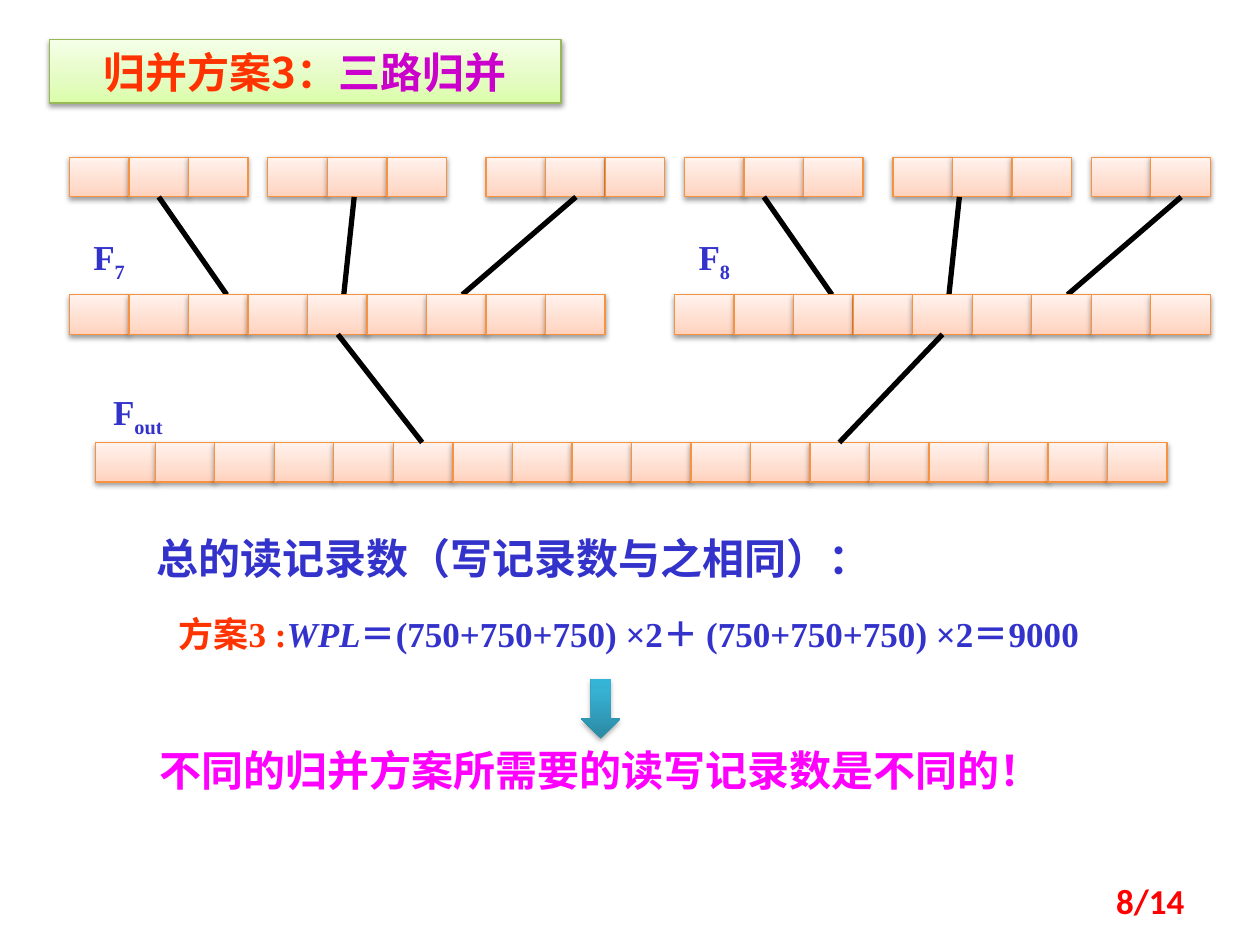
import pptx
import pptx.util
import pptx.dml.color
import pptx.enum.shapes
import pptx.enum.text
import pptx.oxml
import pptx.oxml.ns

Cm, Pt = pptx.util.Cm, pptx.util.Pt
RGB = pptx.dml.color.RGBColor
SHAPE = pptx.enum.shapes.MSO_SHAPE
ALIGN = pptx.enum.text.PP_ALIGN
ANCHOR = pptx.enum.text.MSO_ANCHOR

RED, PURPLE = RGB(0xFF, 0x33, 0x00), RGB(0xCC, 0x00, 0xCC)
BLUE, PINK = RGB(0x33, 0x33, 0xCC), RGB(0xFF, 0x00, 0xFF)
PAGE, BLACK = RGB(0xFF, 0x00, 0x00), RGB(0, 0, 0)
GREEN, ORANGE = RGB(0x98, 0xB9, 0x55), RGB(0xF6, 0x92, 0x40)
# Gradient stops run from the bottom edge to the top edge
LIME = ((0, "DAFDA7"), (35, "E4FCC2"), (100, "F5FFE7"))
PEACH = ((0, "FFD2BD"), (35, "FFDED0"), (100, "FFF2ED"))
TEAL = ((0, "2A88A2"), (80, "37B1D2"), (100, "34B4D6"))
SANS, SERIF = "Noto Sans CJK SC", "Times New Roman"

# Lengths are in centimetres
CELL, HIGH = 1.2, 0.8
TOP, MID, LOW = 3.17, 5.94, 8.92
FILES = [(1.4, 3), (5.4, 3), (9.8, 3), (13.8, 3), (18, 3), (22, 2)]
MERGES = [("7", 0), ("8", 12.2)]
LINKS = [(3.2, 4.57), (7.14, 6.93), (11.61, 9.32)]
JOINS = [(6.81, 8.51), (19, 16.92)]

TITLE = [("归并方案3：", {"color": RED}), ("三路归并", {"color": PURPLE})]
TOTAL = [("总的读记录数（写记录数与之相同）：", {})]
PLAN = [
    ("方案3 :", {"color": RED}),
    ("WPL", {"italic": True}),
    ("＝(750+750+750) ×2＋ (750+750+750) ×2＝9000", {}),
]
CLOSE = [("不同的归并方案所需要的读写记录数是不同的！", {})]


def write(shape, runs, size=24, font=SERIF, color=BLUE, align=ALIGN.LEFT,
          anchor=ANCHOR.TOP, inset=True):
    """Fill a shape with one paragraph of formatted runs."""
    frame = shape.text_frame
    frame.word_wrap = True
    frame.vertical_anchor = anchor
    if not inset:
        frame.margin_left = frame.margin_right = 0
        frame.margin_top = frame.margin_bottom = 0
    para = frame.paragraphs[0]
    para.alignment = align
    for text, form in runs:
        run = para.add_run()
        run.text = text
        run.font.size = Pt(size)
        run.font.bold = True
        run.font.italic = form.get("italic", False)
        run.font.color.rgb = form.get("color", color)
        run.font.name = font
        props = run.font._element
        east = props.makeelement(pptx.oxml.ns.qn("a:ea"), {"typeface": SANS})
        props.append(east)
        if form.get("sub"):
            props.set("baseline", "-25000")


def label(box, runs, **form):
    """Add a text box at left, top, width, height."""
    write(slide.shapes.add_textbox(*map(Cm, box)), runs, **form)


def block(kind, box, stops, edge=None, alpha=38):
    """Add a shape with a gradient fill and a soft shadow."""
    shape = slide.shapes.add_shape(kind, *map(Cm, box))
    shape.fill.background()
    if edge is None:
        shape.line.fill.background()
    else:
        shape.line.color.rgb = edge
        shape.line.width = Pt(0.75)
    shape.shadow.inherit = False
    props = shape._element.spPr
    marks = "".join(
        f'<a:gs pos="{pos * 1000}"><a:srgbClr val="{tint}"/></a:gs>'
        for pos, tint in stops)
    space = pptx.oxml.ns.nsdecls("a")
    props.replace(props.find(pptx.oxml.ns.qn("a:noFill")), pptx.oxml.parse_xml(
        f'<a:gradFill {space} rotWithShape="1"><a:gsLst>{marks}</a:gsLst>'
        '<a:lin ang="16200000" scaled="0"/></a:gradFill>'))
    props.find(pptx.oxml.ns.qn("a:effectLst")).append(pptx.oxml.parse_xml(
        f'<a:outerShdw {space} blurRad="{Pt(3.1)}" dist="{Pt(1.6)}" '
        'dir="5400000" rotWithShape="0"><a:srgbClr val="000000">'
        f'<a:alpha val="{alpha * 1000}"/></a:srgbClr></a:outerShdw>'))
    return shape


def row(left, top, count):
    """Draw a file as a row of touching cells."""
    for i in range(count):
        block(SHAPE.RECTANGLE, (left + i * CELL, top, CELL, HIGH),
              PEACH, ORANGE)


def link(start, end, top, low):
    """Draw a thick line from the foot of one row to the next row."""
    line = slide.shapes.add_connector(
        pptx.enum.shapes.MSO_CONNECTOR.STRAIGHT,
        Cm(start), Cm(top + HIGH), Cm(end), Cm(low))
    line.line.color.rgb = BLACK
    line.line.width = Pt(3)
    props = line._element.spPr
    props.append(props.makeelement(pptx.oxml.ns.qn("a:effectLst"), {}))


def tag(box, sub):
    """Add a file name: F with a subscript."""
    label(box, [("F", {}), (sub, {"sub": True})], size=20,
          align=ALIGN.CENTER, inset=False)


deck = pptx.Presentation()
deck.slide_width, deck.slide_height = Cm(25.4), Cm(19.05)
slide = deck.slides.add_slide(deck.slide_layouts[6])

head = block(SHAPE.RECTANGLE, (1, 0.8, 10.31, 1.28), LIME, GREEN)
write(head, TITLE, font=SANS, align=ALIGN.CENTER, anchor=ANCHOR.MIDDLE)

for left, count in FILES:
    row(left, TOP, count)
for sub, shift in MERGES:
    for start, end in LINKS:
        link(start + shift, end + shift, TOP, MID)
    tag((1.4 + shift, 4.75, 1.6, 0.85), sub)
    row(1.4 + shift, MID, 9)
row(1.93, LOW, 18)
tag((1.58, 7.88, 2.4, 0.85), "out")
for start, end in JOINS:
    link(start, end, MID, LOW)

label((2.9, 10.62, 16.5, 1.28), TOTAL)
label((3.35, 12.22, 20.45, 1.11), PLAN, size=20)
label((18.21, 17.65, 5.92, 1.02), [("8/14", {})], size=20, font="Calibri",
      color=PAGE, align=ALIGN.RIGHT, anchor=ANCHOR.MIDDLE)
label((2.97, 14.88, 20.05, 1.28), CLOSE, color=PINK)
block(SHAPE.DOWN_ARROW, (11.71, 13.69, 0.8, 1.2), TEAL, alpha=35)

deck.save("out.pptx")
